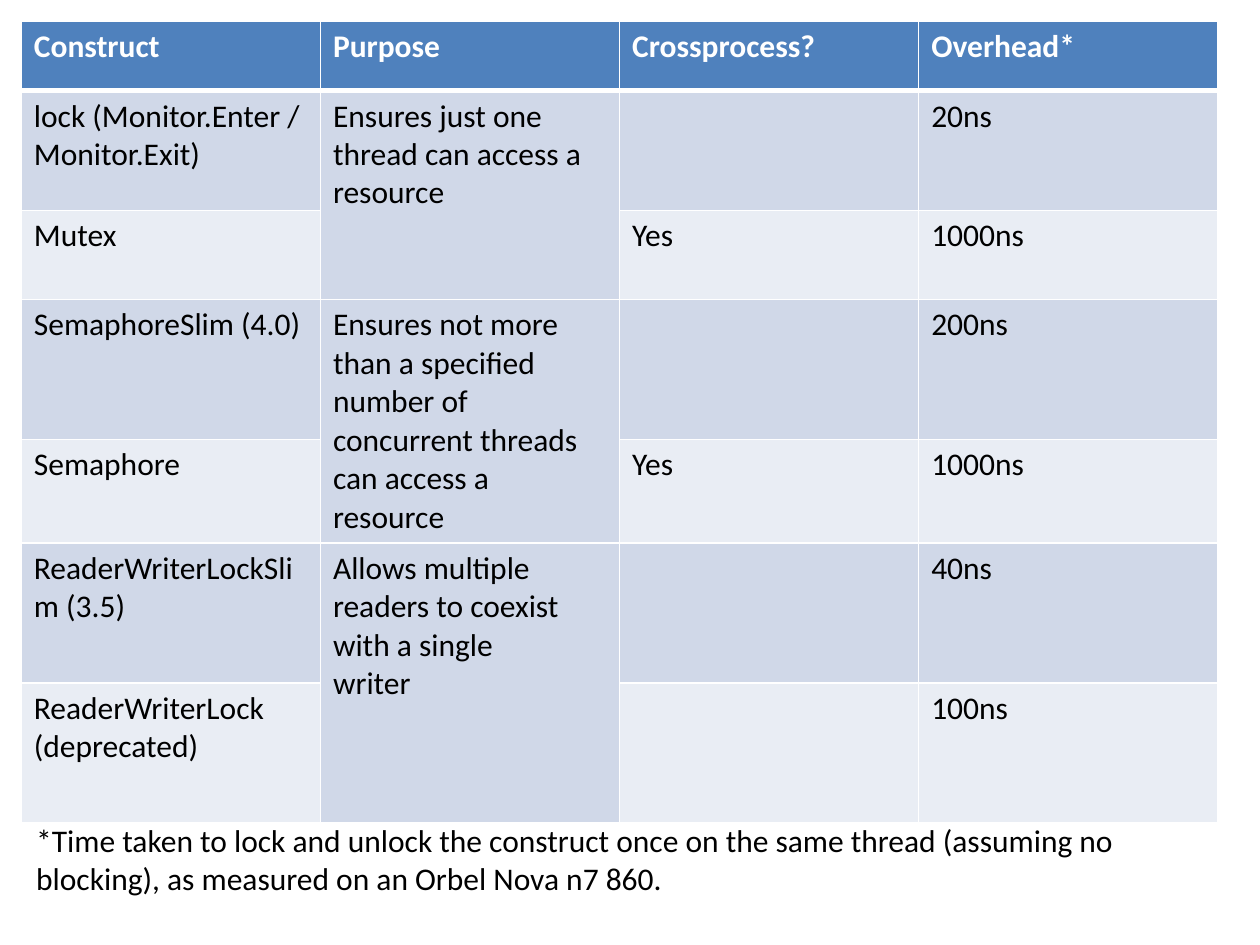
"""Build a slide comparing thread locking constructs."""
from lxml import etree
from pptx import Presentation
from pptx import util as u
from pptx.dml.color import RGBColor
from pptx.enum import text
from pptx.oxml import ns

WHITE = RGBColor(0xFF, 0xFF, 0xFF)
BLACK = RGBColor(0, 0, 0)
BLUE = RGBColor(0x4F, 0x81, 0xBD)
BAND_DARK = RGBColor(0xD0, 0xD8, 0xE8)
BAND_LIGHT = RGBColor(0xE9, 0xED, 0xF4)

ROWS = [
    ("Construct", "Purpose", "Crossprocess?", "Overhead*"),
    ("lock (Monitor.Enter /\nMonitor.Exit)",
     "Ensures just one thread can access a resource", "", "20ns"),
    ("Mutex", "", "Yes", "1000ns"),
    ("SemaphoreSlim (4.0)",
     "Ensures not more than a specified number of\n"
     "concurrent threads can access a resource", "", "200ns"),
    ("Semaphore", "", "Yes", "1000ns"),
    ("ReaderWriterLockSlim (3.5)",
     "Allows multiple readers to coexist with a single\nwriter", "", "40ns"),
    ("ReaderWriterLock (deprecated)", "", "", "100ns"),
]
ROW_HEIGHTS = [1.4, 2.41, 1.8, 2.82, 1.8, 2.82, 2.82]
COLUMN_WIDTH = 6.03
PURPOSE = 1
NOTE = ("*Time taken to lock and unlock the construct once on the same thread "
        "(assuming no blocking), as measured on an Orbel Nova n7 860.")


def write(tf, content, font="Calibri", size=18, color=BLACK, bold=False):
    for i, line in enumerate(content.split("\n")):
        p = tf.add_paragraph() if i else tf.paragraphs[0]
        p.font.size = u.Pt(size)
        if line:
            r = p.add_run()
            r.text = line
            r.font.name, r.font.size, r.font.bold = font, u.Pt(size), bold
            r.font.color.rgb = color


def add_borders(cell, color, bottom):
    tcPr = cell._tc.get_or_add_tcPr()
    for side, width in (("L", 1), ("R", 1), ("T", 1), ("B", bottom)):
        ln = etree.SubElement(tcPr, ns.qn(f"a:ln{side}"), w=str(u.Pt(width)))
        fill = etree.SubElement(ln, ns.qn("a:solidFill"))
        etree.SubElement(fill, ns.qn("a:srgbClr"), val=str(color))


class Deck:
    def __init__(self):
        self.prs = Presentation()
        self.prs.slide_width, self.prs.slide_height = u.Cm(25.4), u.Cm(19.05)
        self.s = self.prs.slides.add_slide(self.prs.slide_layouts[6])

    def table(self, rows, left, top, column_width, heights):
        n = len(rows[0])
        table = self.s.shapes.add_table(
            len(rows), n, u.Cm(left), u.Cm(top),
            u.Cm(column_width * n), u.Cm(sum(heights))).table
        for column in table.columns:
            column.width = u.Cm(column_width)
        for i, (row, height) in enumerate(zip(rows, heights)):
            table.rows[i].height = u.Cm(height)
            header = i == 0
            band = BLUE if header else BAND_DARK if i % 2 else BAND_LIGHT
            for j, content in enumerate(row):
                cell = table.cell(i, j)
                add_borders(cell, WHITE, 3 if header else 1)
                cell.fill.solid()
                cell.fill.fore_color.rgb = band
                write(cell.text_frame, content, bold=header,
                      color=WHITE if header else BLACK)
        return table

    def textbox(self, content, left, top, width, height):
        sp = self.s.shapes.add_textbox(
            u.Cm(left), u.Cm(top), u.Cm(width), u.Cm(height))
        tf = sp.text_frame
        tf.word_wrap = True
        tf.auto_size = text.MSO_AUTO_SIZE.SHAPE_TO_FIT_TEXT
        write(tf, content)


def main():
    deck = Deck()
    table = deck.table(ROWS, 0.43, 0.43, COLUMN_WIDTH, ROW_HEIGHTS)
    for i in range(1, len(ROWS), 2):
        table.cell(i, PURPOSE).merge(table.cell(i + 1, PURPOSE))
    deck.textbox(NOTE, 0.48, 16.43, 24.49, 1.8)
    deck.prs.save("out.pptx")


if __name__ == "__main__":
    main()
